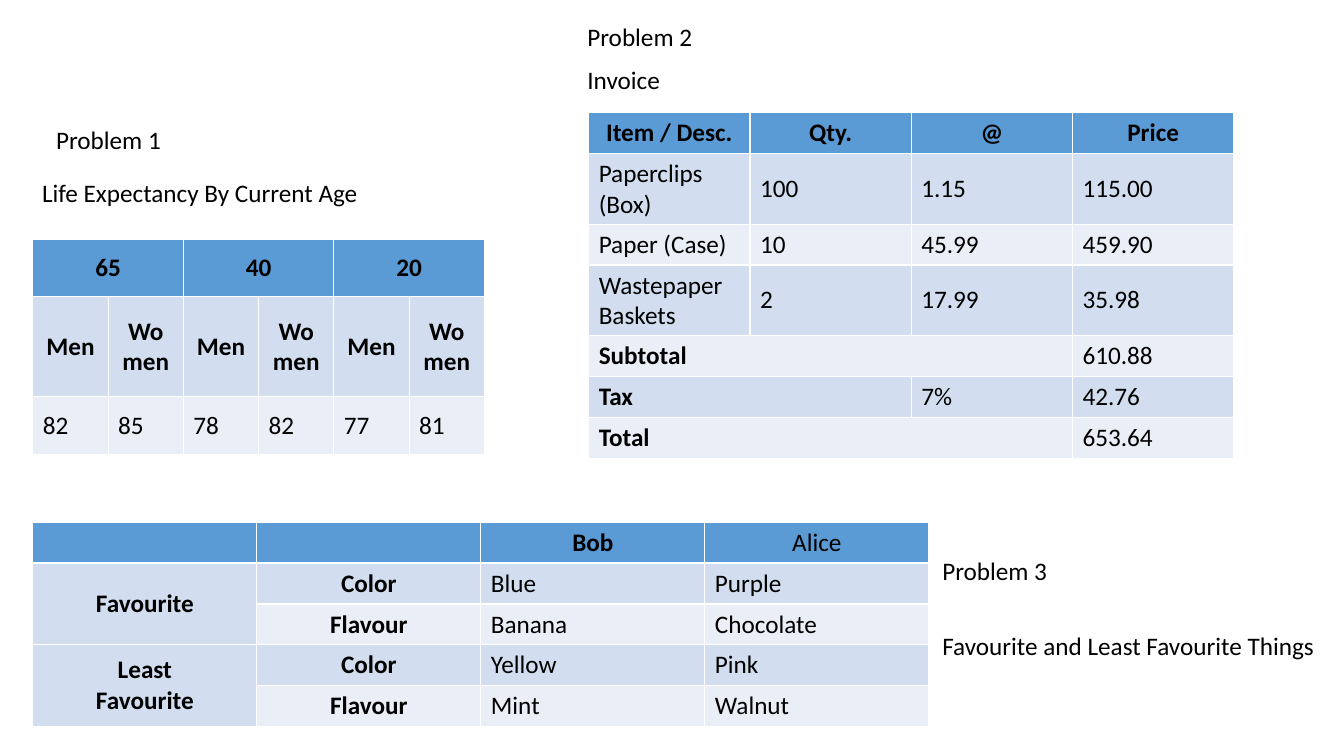
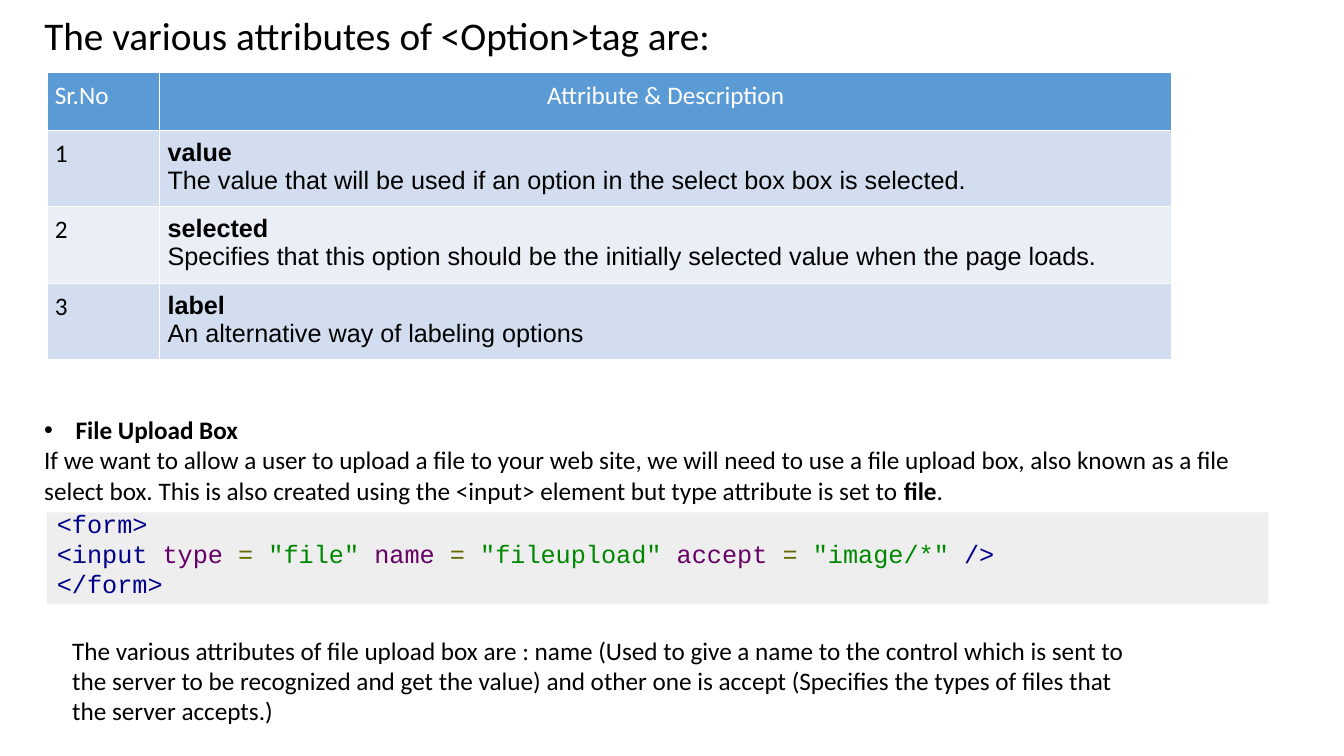
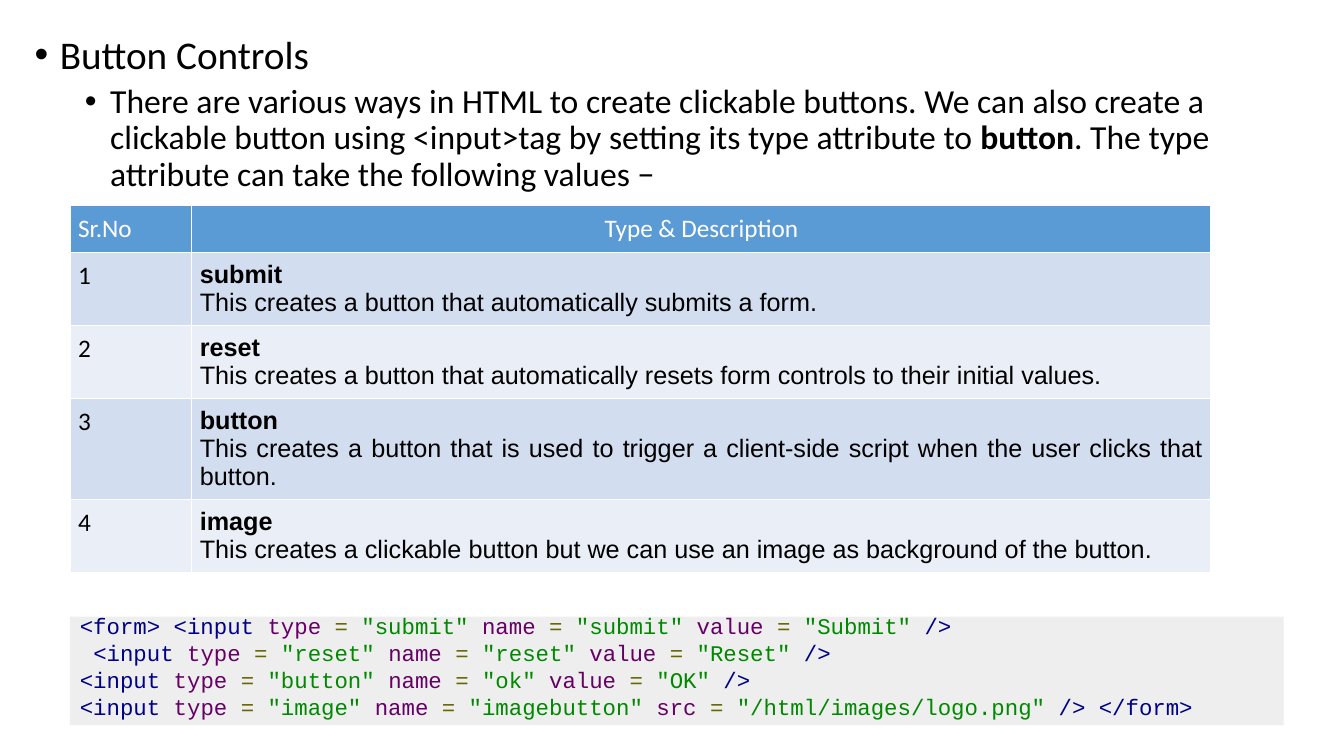
"""Builds three slides on HTML tables, file upload boxes and button controls."""
import lxml.etree
import pptx
import pptx.dml.color
import pptx.enum.shapes
import pptx.enum.text
import pptx.oxml.ns
import pptx.util

Pt = pptx.util.Pt
ALIGN = pptx.enum.text.PP_ALIGN
ANCHOR = pptx.enum.text.MSO_ANCHOR
FIT = pptx.enum.text.MSO_AUTO_SIZE

BLACK, WHITE = "000000", "FFFFFF"
HEADER, BANDS = "5B9BD5", ("EAEFF7", "D2DEEF")
PANEL = "EEEEEE"
TAG, ATTRIBUTE, OPERATOR, STRING = "000088", "660066", "666600", "008800"


def colour(target, value):
    target.rgb = pptx.dml.color.RGBColor.from_string(value)


def write(frame, text, size=18, font="Calibri", ink=BLACK, align=ALIGN.LEFT):
    for number, line in enumerate(text.split("\n")):
        para = frame.add_paragraph() if number else frame.paragraphs[0]
        para.alignment = align
        for index, part in enumerate(line.split("**")):
            if part:
                span = para.add_run()
                span.text = part
                span.font.size = Pt(size)
                span.font.name = font
                span.font.bold = index % 2 == 1
                colour(span.font.color, ink)


deck = pptx.Presentation()
deck.slide_width, deck.slide_height = Pt(960), Pt(540)
layouts = deck.slide_layouts
problems, upload, buttons = [deck.slides.add_slide(layouts[n]) for n in (6, 5, 1)]

title = upload.shapes.title
title.left, title.top, title.width, title.height = Pt(24.5), Pt(8), Pt(914), Pt(42)
write(title.text_frame, "The various attributes of <Option>tag are:", 28)
title.text_frame.vertical_anchor = ANCHOR.TOP
title.text_frame.auto_size = FIT.NONE
title.text_frame.paragraphs[0].line_spacing = 0.9
title.text_frame.paragraphs[0].space_before = Pt(10)

unused = buttons.shapes.title.element
unused.getparent().remove(unused)
body = buttons.placeholders[1]
body.left, body.top, body.width, body.height = Pt(17.5), Pt(21.5), Pt(877), Pt(120)
body.text_frame.auto_size = FIT.NONE
write(body.text_frame, "Button Controls\nThere are various ways in HTML to create clickable buttons. "
      "We can also create a clickable button using <input>tag by setting its type attribute to "
      "**button**. The type attribute can take the following values −", 24)
topic, detail = body.text_frame.paragraphs
topic.runs[0].font.size = Pt(28)
detail.level = 1
for para, gap in ((topic, 10), (detail, 5)):
    para.line_spacing = 0.9
    para.space_before = Pt(gap)

texts = [
    (problems, 33, 85, 294, 29, "Problem 1"),
    (problems, 23, 123, 313, 29, "Life Expectancy By Current Age"),
    (problems, 412.5, 12, 294, 29, "Problem 2"),
    (problems, 412.5, 42.5, 313, 29, "Invoice"),
    (problems, 666, 393, 294, 29, "Problem 3"),
    (problems, 666, 446.5, 294, 29, "Favourite and Least Favourite Things"),
    (upload, 44.5, 450, 781, 73,
     "The various attributes of file upload box are : name (Used to give a name to the control "
     "which is sent to the server to be recognized and get the value) and other one is accept "
     "(Specifies the types of files that the server accepts.)"),
    (upload, 24.5, 292.5, 903, 73,
     "**File Upload Box**\nIf we want to allow a user to upload a file to your web site, we will "
     "need to use a file upload box, also known as a file select box. This is also created using "
     "the <input> element but type attribute is set to **file**."),
]
for page, left, top, width, height, text in texts:
    box = page.shapes.add_textbox(Pt(left), Pt(top), Pt(width), Pt(height))
    box.text_frame.word_wrap = True
    box.text_frame.auto_size = FIT.SHAPE_TO_FIT_TEXT
    write(box.text_frame, text)
upload_heading = box.text_frame.paragraphs[0]

for para, margin, hang in ((topic, 18, 18), (detail, 54, 18), (upload_heading, 22.5, 22.5)):
    props = para._p.get_or_add_pPr()
    props.set("marL", str(Pt(margin)))
    props.set("indent", str(-Pt(hang)))
    lxml.etree.SubElement(props, pptx.oxml.ns.qn("a:buFont")).set("typeface", "Arial")
    lxml.etree.SubElement(props, pptx.oxml.ns.qn("a:buChar")).set("char", "•")

expectancy = [
    ["**65**", "", "**40**", "", "**20**", ""],
    ["**Men**", "**Women**"] * 3,
    ["82", "85", "78", "82", "77", "81"],
]
invoice = [
    ["**Item / Desc.**", "**Qty.**", "**@**", "**Price**"],
    ["Paperclips (Box)", "100", "1.15", "115.00"],
    ["Paper (Case)", "10", "45.99", "459.90"],
    ["Wastepaper Baskets", "2", "17.99", "35.98"],
    ["**Subtotal**", "", "", "610.88"],
    ["**Tax**", "", "7%", "42.76"],
    ["**Total**", "", "", "653.64"],
]
favourites = [
    ["", "", "**Bob**", "Alice"],
    ["**Favourite**", "**Color**", "Blue", "Purple"],
    ["", "**Flavour**", "Banana", "Chocolate"],
    ["**Least**\n**Favourite**", "**Color**", "Yellow", "Pink"],
    ["", "**Flavour**", "Mint", "Walnut"],
]
option_attributes = [
    ["Sr.No", "Attribute & Description"],
    ["1", "**value**\nThe value that will be used if an option in the select box box is selected."],
    ["2", "**selected**\nSpecifies that this option should be the initially selected value "
          "when the page loads."],
    ["3", "**label**\nAn alternative way of labeling options"],
]
button_types = [
    ["Sr.No", "Type & Description"],
    ["1", "**submit**\nThis creates a button that automatically submits a form."],
    ["2", "**reset**\nThis creates a button that automatically resets form controls "
          "to their initial values."],
    ["3", "**button**\nThis creates a button that is used to trigger a client-side script "
          "when the user clicks that button."],
    ["4", "**image**\nThis creates a clickable button but we can use an image as background "
          "of the button."],
]
tables = [
    (problems, 23.5, 171, [53.75] * 6, [41, 71.5, 41], expectancy,
     [(0, 0, 0, 1), (0, 2, 0, 3), (0, 4, 0, 5)]),
    (problems, 420.5, 80.5, [115.2] * 4, [29.2, 50.4, 29.2, 50.4, 29.2, 29.2, 29.2], invoice,
     [(4, 0, 4, 2), (5, 0, 5, 1), (6, 0, 6, 2)]),
    (problems, 23.5, 373, [160] * 4, [29.2] * 5, favourites, [(1, 0, 2, 0), (3, 0, 4, 0)]),
    (upload, 33.5, 52, [80.5, 723], [41, 52, 52, 52], option_attributes, []),
    (buttons, 50, 147, [87, 728], [33.5, 52, 52, 72.5, 52], button_types, []),
]
for page, left, top, widths, heights, rows, merges in tables:
    grid = page.shapes.add_table(len(rows), len(widths), Pt(left), Pt(top),
                                 Pt(sum(widths)), Pt(sum(heights))).table
    for column, width in zip(grid.columns, widths):
        column.width = Pt(width)
    for row, height in zip(grid.rows, heights):
        row.height = Pt(height)
    for top_row, first, bottom_row, last in merges:
        grid.cell(top_row, first).merge(grid.cell(bottom_row, last))
    descriptive = page is not problems
    for r, row in enumerate(rows):
        for c, text in enumerate(row):
            cell = grid.cell(r, c)
            cell.fill.solid()
            colour(cell.fill.fore_color, BANDS[r % 2] if r else HEADER)
            font, ink, align = "Calibri", BLACK, ALIGN.LEFT
            if descriptive:
                cell.margin_left = cell.margin_right = Pt(5.75)
                cell.margin_top = cell.margin_bottom = Pt(5.75)
                if r == 0:
                    ink, align = WHITE, ALIGN.CENTER if c else ALIGN.LEFT
                elif c == 1:
                    font, align = "Arial", ALIGN.JUSTIFY
            else:
                cell.vertical_anchor = ANCHOR.MIDDLE
                if r == 0 or (text.startswith("**") and cell.span_width == 1):
                    align = ALIGN.CENTER
            write(cell.text_frame, text, 18, font, ink, align)

upload_code = """<form>
<input type = "file" name = "fileupload" accept = "image/*" />
</form>"""
button_code = """<form> <input type = "submit" name = "submit" value = "Submit" />
 <input type = "reset" name = "reset" value = "Reset" />
<input type = "button" name = "ok" value = "OK" />
<input type = "image" name = "imagebutton" src = "/html/images/logo.png" /> </form>"""
token_inks = {"<": TAG, "/": TAG, "=": OPERATOR, '"': STRING}
panels = [
    (upload, 33.5, 366, 872.5, 65.5, 18, upload_code),
    (buttons, 50, 440.5, 867, 77.5, 16, button_code),
]
for page, left, top, width, height, size, code in panels:
    panel = page.shapes.add_shape(pptx.enum.shapes.MSO_SHAPE.RECTANGLE,
                                  Pt(left), Pt(top), Pt(width), Pt(height))
    panel.shadow.inherit = False
    panel.fill.solid()
    colour(panel.fill.fore_color, PANEL)
    panel.line.fill.background()
    frame = panel.text_frame
    frame.word_wrap = True
    frame.vertical_anchor = ANCHOR.MIDDLE
    frame.margin_top, frame.margin_bottom = Pt(-3.6), Pt(3.6)
    for number, line in enumerate(code.split("\n")):
        para = frame.add_paragraph() if number else frame.paragraphs[0]
        para.alignment = ALIGN.LEFT
        for token in line.split(" "):
            span = para.add_run()
            span.text = token + " "
            span.font.size = Pt(size)
            span.font.name = "Courier New"
            colour(span.font.color, token_inks.get(token[:1], ATTRIBUTE))
        span.text = token

deck.save("out.pptx")
